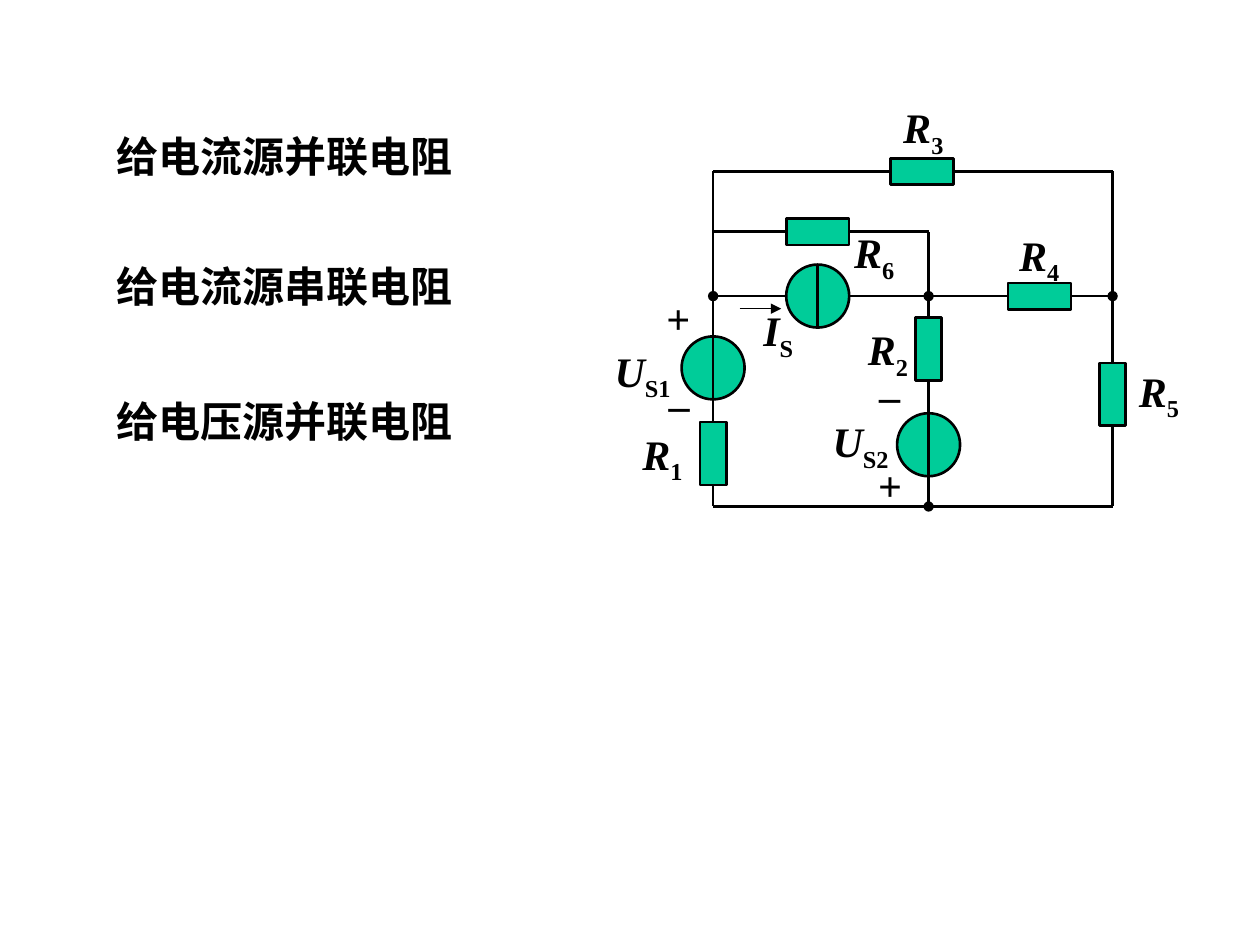
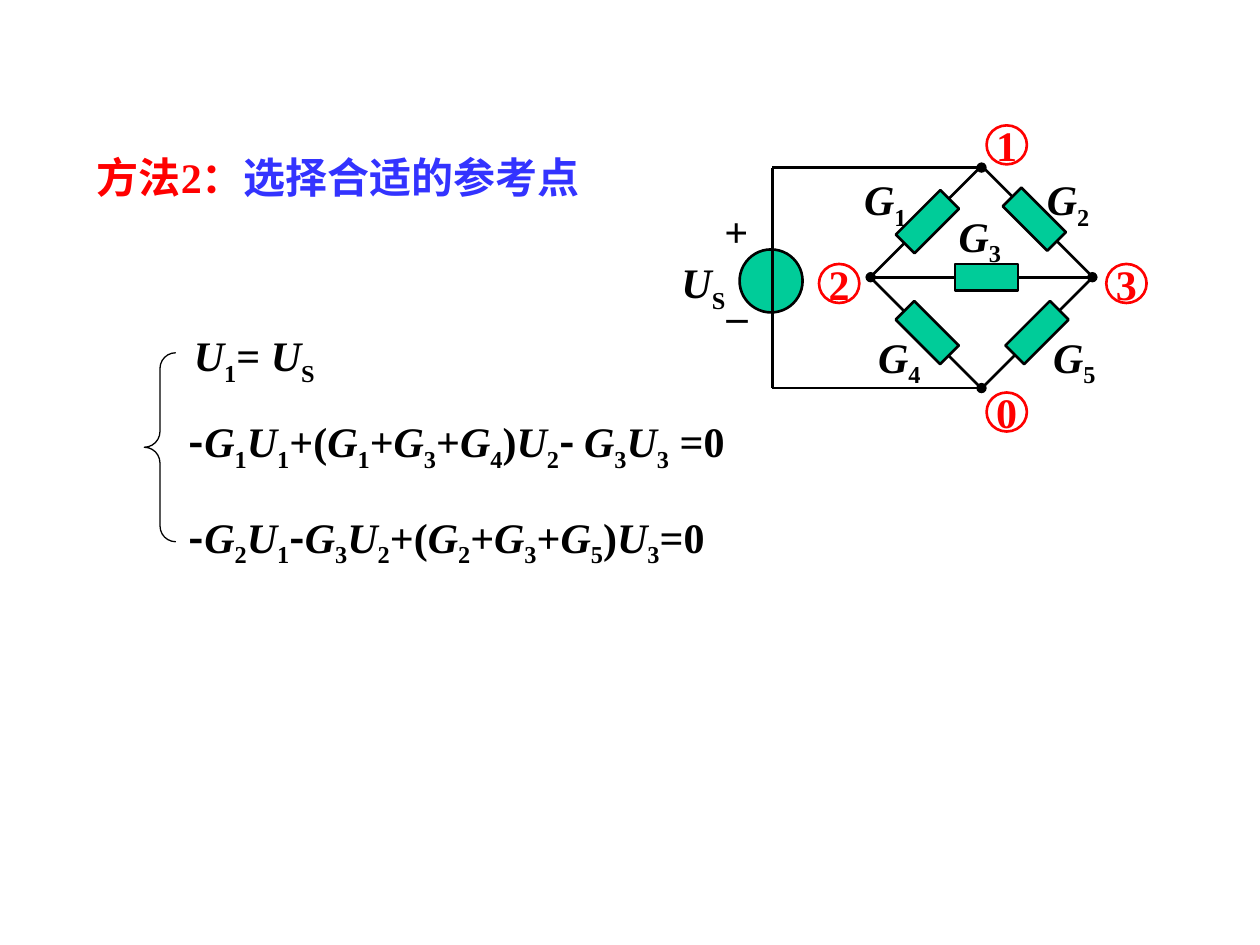
from typing import NamedTuple

from lxml.etree import SubElement as Sub
from pptx import Presentation
from pptx.dml.color import RGBColor
from pptx.enum.shapes import MSO_CONNECTOR as Link, MSO_SHAPE as Kind
from pptx.enum.text import MSO_ANCHOR as Anchor, MSO_AUTO_SIZE as Auto, PP_ALIGN as Align
from pptx.oxml.ns import qn
from pptx.util import Inches, Pt

BLACK = RGBColor(0x00, 0x00, 0x00)
GREEN = RGBColor(0x00, 0xCC, 0x99)
RED = RGBColor(0xFF, 0x00, 0x00)
BLUE = RGBColor(0x33, 0x33, 0xFF)
SERIF = "Times New Roman"
SANS = "Noto Sans CJK SC"
SIZE = 24
THICK, THIN = 1.5, 0.75
ROUND, LONG, SHORT = 0.5, 0.5, 0.21  # source diameter, resistor sides


class Wire(NamedTuple):
    x1: float
    y1: float
    x2: float
    y2: float
    head: str = ""
    tail: str = ""
    width: float = THICK


class Part(NamedTuple):
    """A source or resistor, placed by its centre."""
    x: float
    y: float
    turn: int = 0


class Label(NamedTuple):
    text: str
    x: float
    y: float
    width: float = 0.75


def add_run(para, text: str, color: RGBColor = BLACK, italic: bool = False,
            low: bool = False, face: str = SERIF) -> None:
    run = para.add_run()
    run.text = text
    font = run.font
    font.size, font.bold, font.italic = Pt(SIZE), True, italic
    font.color.rgb = color
    font.name = face
    props = run._r.get_or_add_rPr()
    Sub(props, qn("a:ea")).set("typeface", SANS)
    if low:
        props.set("baseline", "-25000")


def add_math(para, text: str) -> None:
    """Write tokens parted by |; A_b is an italic A with subscript b."""
    for token in text.split("|"):
        base, mark, index = token.partition("_")
        add_run(para, base, italic=bool(mark), face=SANS if base[0] == "-" else SERIF)
        if mark:
            add_run(para, index, low=True)


def add_box(slide, x: float, y: float, width: float, height: float, wrap: bool = True):
    """Add a text box and return its frame."""
    box = slide.shapes.add_textbox(Inches(x), Inches(y), Inches(width), Inches(height))
    frame = box.text_frame
    frame.word_wrap = wrap
    frame.auto_size = Auto.SHAPE_TO_FIT_TEXT
    return frame


def add_label(slide, label: Label) -> None:
    frame = add_box(slide, label.x, label.y, label.width, 0.56)
    add_math(frame.paragraphs[0], label.text)


def add_sign(slide, sign: str, x: float, y: float) -> None:
    """Add a polarity sign around the centre x, with its box top at y."""
    frame = add_box(slide, x - 0.19, y, 0.38, 0.5, False)
    frame.vertical_anchor = Anchor.MIDDLE
    frame.paragraphs[0].alignment = Align.CENTER
    add_run(frame.paragraphs[0], sign)


def add_part(slide, kind, part: Part, width: float, height: float,
             fill: RGBColor | None = GREEN, color: RGBColor = BLACK,
             line: float = THICK):
    shape = slide.shapes.add_shape(
        kind, Inches(part.x - width / 2), Inches(part.y - height / 2),
        Inches(width), Inches(height))
    shape.shadow.inherit = False
    shape.rotation = part.turn
    if fill is None:
        shape.fill.background()
    else:
        shape.fill.solid()
        shape.fill.fore_color.rgb = fill
    shape.line.color.rgb = color
    shape.line.width = Pt(line)
    return shape


def add_source(slide, part: Part) -> None:
    add_part(slide, Kind.OVAL, part, ROUND, ROUND)


def add_loads(slide, parts: list[Part]) -> None:
    """Add the resistors."""
    for part in parts:
        add_part(slide, Kind.RECTANGLE, part, SHORT, LONG)


def add_node(slide, digit: str, x: float, y: float) -> None:
    """Add a ringed node number."""
    ring = add_part(slide, Kind.OVAL, Part(x, y), 0.32, 0.31, None, RED)
    frame = ring.text_frame
    frame.word_wrap = False
    frame.vertical_anchor = Anchor.MIDDLE
    frame.paragraphs[0].alignment = Align.CENTER
    add_run(frame.paragraphs[0], digit, RED)


def add_wire(slide, wire: Wire) -> None:
    line = slide.shapes.add_connector(
        Link.STRAIGHT, Inches(wire.x1), Inches(wire.y1), Inches(wire.x2), Inches(wire.y2))
    line.line.color.rgb = BLACK
    line.line.width = Pt(wire.width)
    props = line._element.spPr
    stroke = props.find(qn("a:ln"))
    for tag, end in (("a:headEnd", wire.head), ("a:tailEnd", wire.tail)):
        if end:
            Sub(stroke, qn(tag)).set("type", end)
    Sub(props, qn("a:effectLst"))


def build_loads(slide) -> None:
    """Slide 1: resistors joined to sources."""
    left, mid, right = 5.66, 7.37, 8.83
    top, upper, main, base = 1.36, 1.84, 2.35, 4.02
    cell = 6.49

    for text, y in (("给电流源并联电阻", 0.99), ("给电流源串联电阻", 2.02),
                    ("给电压源并联电阻", 3.09)):
        add_run(add_box(slide, 0.83, y, 3.6, 0.5).paragraphs[0], text)

    for part in (Part(left, 2.92), Part(mid, 3.53), Part(cell, main)):
        add_source(slide, part)
    half = ROUND / 2
    for wire in (
        Wire(cell, main - half, cell, main + half),
        Wire(cell - half, main, left, main, tail="oval"),
        Wire(5.87, 2.45, 6.2, 2.45, tail="triangle", width=THIN),
        Wire(cell + half, main, right, main, tail="oval"),
        Wire(mid, main, mid, base, "oval", "oval"),
        Wire(left, top, left, base),
        Wire(right, top, right, base),
        Wire(left, top, right, top),
        Wire(left, base, right, base),
        Wire(left, upper, mid, upper),
        Wire(mid, upper, mid, main),
    ):
        add_wire(slide, wire)
    add_loads(slide, [
        Part(left, 3.6), Part(mid, 2.77), Part(7.32, top, 270),
        Part(8.25, main, 270), Part(right, 3.13), Part(cell, upper, 270)])

    for label in (
        Label("U_S1", 4.78, 2.69), Label("U_S2", 6.51, 3.25),
        Label("R_1", 5, 3.35), Label("R_2", 6.79, 2.52),
        Label("R_3", 7.07, 0.76), Label("R_4", 7.99, 1.77),
        Label("R_5", 8.94, 2.85), Label("R_6", 6.68, 1.75),
        Label("I_S", 5.96, 2.37),
    ):
        add_label(slide, label)
    for sign, x, y in (("+", 5.38, 2.27), ("_", 5.39, 2.84),
                       ("_", 7.06, 2.77), ("+", 7.06, 3.6)):
        add_sign(slide, sign, x, y)


def build_bridge(slide) -> None:
    """Slide 2: node equations of a bridge."""
    left, mid, top, base = 6.13, 7.79, 1.33, 3.08
    row, reach = 2.2, 0.88

    title = add_box(slide, 0.67, 1.15, 4.72, 0.5).paragraphs[0]
    add_run(title, "方法2：", RED)
    add_run(title, "选择合适的参考点", BLUE)

    add_part(slide, Kind.RECTANGLE, Part(mid, row, 45), 1.25, 1.25, None)
    add_source(slide, Part(6.12, 2.23))
    for wire in (
        Wire(mid - reach, row, mid + reach, row, "oval", "oval"),
        Wire(mid, top, left, top, "oval"),
        Wire(mid, base, left, base, "oval"),
        Wire(left, top, left, base),
    ):
        add_wire(slide, wire)
    add_loads(slide, [
        Part(7.36, 1.76, 45), Part(8.21, 1.74, 315), Part(7.83, row, 270),
        Part(7.36, 2.64, 315), Part(8.23, 2.64, 45)])

    for digit, x, y in (("0", 7.99, 3.27), ("1", 7.99, 1.15),
                        ("2", 6.66, 2.25), ("3", 8.94, 2.25)):
        add_node(slide, digit, x, y)
    add_sign(slide, "+", 5.84, 1.58)
    add_sign(slide, "_", 5.85, 2.14)

    for label in (
        Label("G_1", 6.76, 1.33), Label("G_2", 8.21, 1.33),
        Label("G_3", 7.51, 1.62), Label("G_4", 6.87, 2.58),
        Label("G_5", 8.26, 2.58), Label("U_S", 5.31, 1.99),
        Label("U_1|= |U_S", 1.44, 2.57, 1.52),
        Label("-|G_1|U_1|+(|G_1|+|G_3|+|G_4|)|U_2|- |G_3|U_3| =0", 1.4, 3.25, 4.95),
        Label("-|G_2|U_1|-|G_3|U_2|+(|G_2|+|G_3|+|G_5|)|U_3|=0", 1.4, 4.01, 4.87),
    ):
        add_label(slide, label)
    brace = add_part(slide, Kind.LEFT_BRACE, Part(1.27, 3.55), 0.25, 1.5, None, line=THIN)
    brace.adjustments[0] = 0.5


def main() -> None:
    deck = Presentation()
    deck.slide_width, deck.slide_height = Inches(10), Inches(7.5)
    for build in (build_loads, build_bridge):
        build(deck.slides.add_slide(deck.slide_layouts[6]))
    deck.save("out.pptx")


if __name__ == "__main__":
    main()
